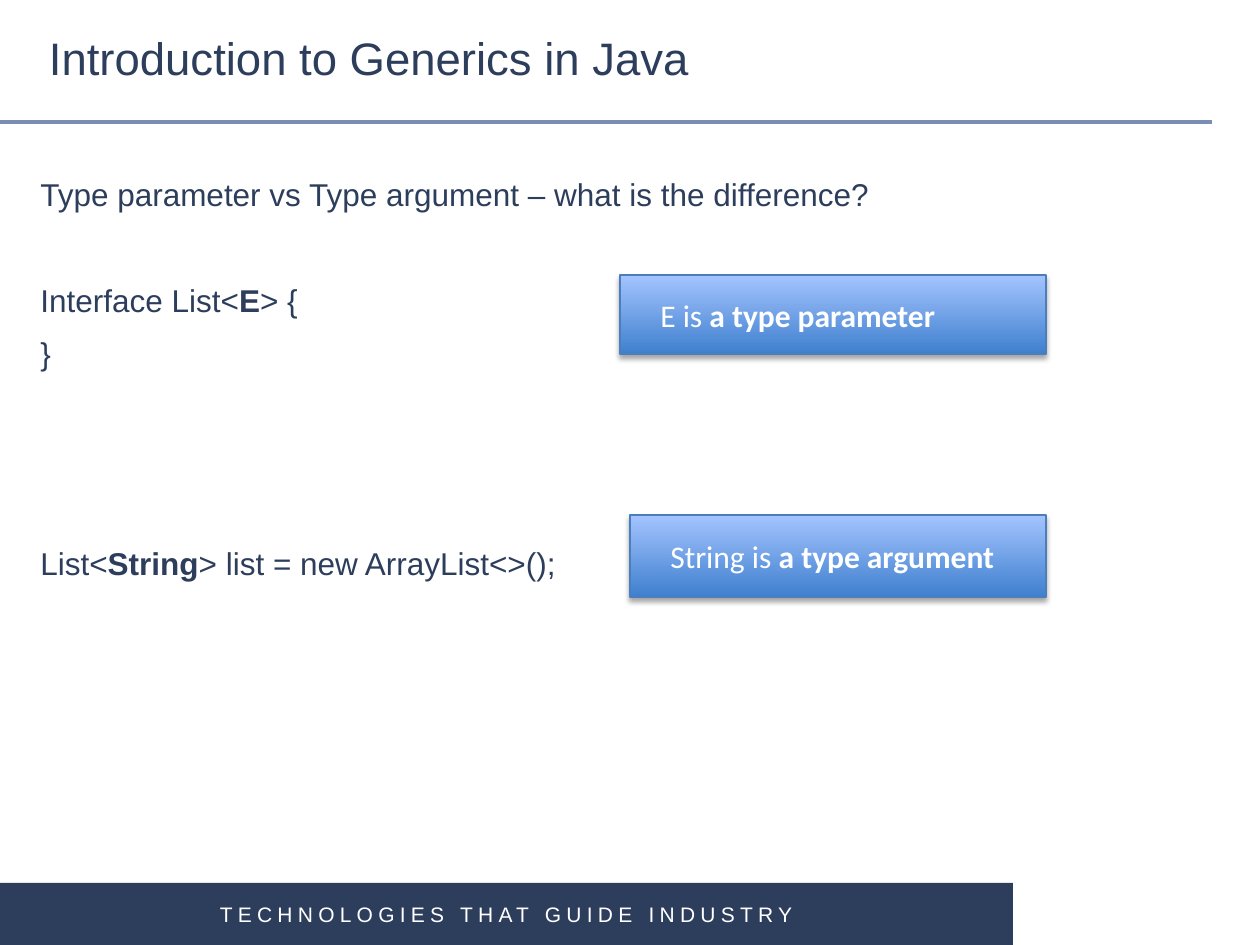
from dataclasses import dataclass

from lxml import etree
from pptx import Presentation, util as u
from pptx.dml.color import RGBColor
from pptx.enum import shapes, text
from pptx.oxml.ns import qn

EMU_PER_PX = 914400 / 126
COLORS = {
    "navy": "2D3E5C", "rule": "798EB2", "white": "FFFFFF", "black": "000000",
    "deep": "3F80CE", "light": "A4C4FF", "edge": "4B7EBC",
}
INDENT = 28
LINE_PT = 20.7
GAP_PT = 9


@dataclass
class Line:
    """A line of runs, with ** around bold parts, set some empty rows below the last."""
    words: str
    skipped: int = 0


@dataclass
class Callout:
    left: int
    top: int
    width: int
    height: int
    words: str


BODY = [
    Line("Type parameter vs Type argument – what is the difference?"),
    Line("Interface List<**E**> {", 1),
    Line("}"),
    Line("List<**String**> list = new ArrayList<>();", 3),
]
CALLOUTS = [
    Callout(620, 275, 426, 79, "E is **a type parameter**"),
    Callout(630, 515, 416, 82, "String is **a type argument**"),
]


def px(n: int) -> u.Emu:
    return u.Emu(round(n * EMU_PER_PX))


def rgb(name: str) -> RGBColor:
    return RGBColor.from_string(COLORS[name])


def write(sp, lines: list[Line], *, size: int, color: str, font: str = "Arial",
          align=text.PP_ALIGN.LEFT, anchor=text.MSO_ANCHOR.MIDDLE,
          indent: int = 0, margins=None, tracking: int = 0) -> None:
    tf = sp.text_frame
    tf.word_wrap = True
    tf.vertical_anchor = anchor
    if margins:
        (tf.margin_left, tf.margin_top,
         tf.margin_right, tf.margin_bottom) = map(px, margins)
    for i, line in enumerate(lines):
        p = tf.add_paragraph() if i else tf.paragraphs[0]
        p.alignment = align
        if indent:
            p._p.get_or_add_pPr().set("marL", str(px(indent)))
        if i:
            p.space_before = u.Pt(GAP_PT + line.skipped * (LINE_PT + GAP_PT))
        for j, part in enumerate(line.words.split("**")):
            if not part:
                continue
            r = p.add_run()
            r.text = part
            r.font.name, r.font.size = font, u.Pt(size)
            r.font.bold = j % 2 == 1
            r.font.color.rgb = rgb(color)
            if tracking:
                r._r.get_or_add_rPr().set("spc", str(tracking * 100))


def add_box(s, left: int, top: int, width: int, height: int):
    sp = s.shapes.add_shape(shapes.MSO_SHAPE.RECTANGLE,
                            px(left), px(top), px(width), px(height))
    sp.shadow.inherit = False
    return sp


def add_text_box(s, left: int, top: int, width: int, height: int):
    return s.shapes.add_textbox(px(left), px(top), px(width), px(height))


def add_drop_shadow(sp) -> None:
    effects = sp._element.spPr.find(qn("a:effectLst"))
    shadow = etree.SubElement(effects, qn("a:outerShdw"), blurRad=str(u.Pt(3.1)),
                              dist=str(u.Pt(1.8)), dir="5400000", rotWithShape="0")
    color = etree.SubElement(shadow, qn("a:srgbClr"), val=COLORS["black"])
    etree.SubElement(color, qn("a:alpha"), val="35000")


def add_callout(s, c: Callout) -> None:
    sp = add_box(s, c.left, c.top, c.width, c.height)
    sp.fill.gradient()
    sp.fill.gradient_angle = 90
    for stop, position, name in zip(sp.fill.gradient_stops, (0, 1), ("deep", "light")):
        stop.position = position
        stop.color.rgb = rgb(name)
    sp.line.color.rgb = rgb("edge")
    sp.line.width = u.Pt(0.75)
    add_drop_shadow(sp)
    write(sp, [Line(c.words)], size=18, color="white", font="Calibri", indent=INDENT)


def add_footer(s) -> None:
    sp = add_box(s, 0, 883, 1013, 62)
    sp.fill.solid()
    sp.fill.fore_color.rgb = rgb("navy")
    sp.line.fill.background()
    write(sp, [Line("TECHNOLOGIES THAT GUIDE INDUSTRY")], size=12, color="white",
          align=text.PP_ALIGN.CENTER, tracking=3)


def add_title_rule(s) -> None:
    line = s.shapes.add_connector(shapes.MSO_CONNECTOR.STRAIGHT,
                                  px(0), px(122), px(1212), px(122))
    line.line.color.rgb = rgb("rule")
    line.line.width = u.Pt(2)
    etree.SubElement(line._element.spPr, qn("a:effectLst"))


def main() -> None:
    prs = Presentation()
    prs.slide_width, prs.slide_height = px(1260), px(945)
    s = prs.slides.add_slide(prs.slide_layouts[6])
    add_footer(s)
    add_title_rule(s)
    write(add_text_box(s, 0, 0, 1260, 122), [Line("Introduction to Generics in Java")],
          size=26, color="navy", margins=(49, 0, 49, 8))
    write(add_text_box(s, 0, 169, 1260, 668), BODY, size=18, color="navy",
          anchor=text.MSO_ANCHOR.TOP, indent=INDENT)
    for callout in CALLOUTS:
        add_callout(s, callout)
    prs.save("out.pptx")


if __name__ == "__main__":
    main()
